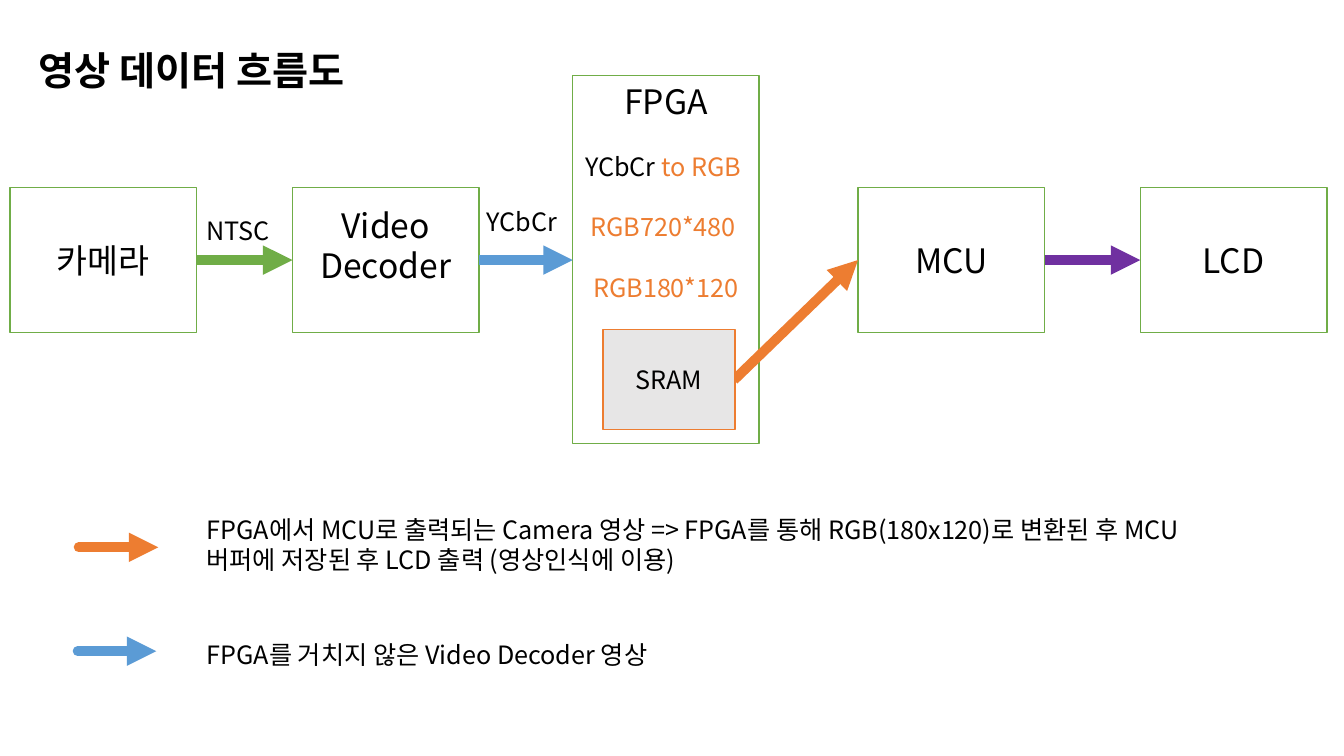
from lxml.etree import SubElement
from pptx import Presentation
from pptx.dml.color import RGBColor
from pptx.enum.shapes import MSO_CONNECTOR, MSO_SHAPE
from pptx.enum.text import MSO_ANCHOR as ANCHOR, PP_ALIGN as ALIGN
from pptx.oxml.ns import qn
from pptx.util import Inches, Pt

FONT = "Noto Sans CJK KR"
BLACK, WHITE, GRAY = "000000", "FFFFFF", "E7E6E6"
GREEN, BLUE, ORANGE, PURPLE = "70AD47", "5B9BD5", "ED7D31", "7030A0"

BOX_TOP, BOX_WIDTH, BOX_HEIGHT, FLOW_Y = 1.86, 1.85, 1.44, 2.58
STAGES = [("카메라", 0.1), ("Video Decoder", 2.9), ("MCU", 8.51), ("LCD", 11.31)]
FPGA_LEFT = 5.68
FPGA_STEPS = [
    [("YCbCr ", BLACK), ("to RGB ", ORANGE)],
    [("RGB720*480 ", ORANGE)],
    [("RGB180*120", ORANGE)],
]
# start x, start y, end x, end y, colour
FLOWS = [
    (1.95, FLOW_Y, 2.9, FLOW_Y, GREEN),
    (4.75, FLOW_Y, FPGA_LEFT, FLOW_Y, BLUE),
    (7.28, 3.77, 8.51, FLOW_Y, ORANGE),
    (10.36, FLOW_Y, 11.31, FLOW_Y, PURPLE),
]
LEGEND_ARROWS = [(0.78, 5.43, 1.57, 5.43, ORANGE), (0.77, 6.46, 1.55, 6.46, BLUE)]
# text, left, top, width, height, size, bold
LABELS = [
    ("영상 데이터 흐름도", 0.28, 0.41, 4.06, 0.57, 28, True),
    ("NTSC", 1.95, 2.09, 0.93, 0.4, 18, False),
    ("YCbCr", 4.73, 2, 0.93, 0.4, 18, False),
    ("FPGA에서 MCU로 출력되는 Camera 영상 => FPGA를 통해 RGB(180x120)로 변환된 후 "
     "MCU 버퍼에 저장된 후 LCD 출력 (영상인식에 이용) ", 1.95, 5.05, 10.11, 0.71, 18, False),
    ("FPGA를 거치지 않은 Video Decoder 영상", 1.95, 6.29, 9.75, 0.4, 18, False),
]


def color(hex_text):
    """Turn a hex string into a colour."""
    return RGBColor.from_string(hex_text)


def write(para, spans, size, bold=False, align=ALIGN.LEFT):
    """Fill a paragraph with (text, colour) spans in one font."""
    para.alignment = align
    para.font.name, para.font.size, para.font.bold = FONT, Pt(size), bold
    para.font.color.rgb = color(spans[0][1])
    defaults = para._p.pPr.find(qn("a:defRPr"))
    SubElement(defaults, qn("a:ea")).set("typeface", FONT)
    for text, hex_text in spans:
        span = para.add_run()
        span.text = text
        span.font.color.rgb = color(hex_text)


def add_box(text, left, top, width, height, size=24, fill=WHITE, line=GREEN,
            anchor=ANCHOR.MIDDLE):
    """Add an outlined rectangle with centred text and return its text frame."""
    box = page.shapes.add_shape(MSO_SHAPE.RECTANGLE, *map(Inches, (left, top, width, height)))
    box.shadow.inherit = False
    box.fill.solid()
    box.fill.fore_color.rgb = color(fill)
    box.line.color.rgb = color(line)
    box.line.width = Pt(1)
    frame = box.text_frame
    frame.word_wrap, frame.vertical_anchor = True, anchor
    write(frame.paragraphs[0], [(text, BLACK)], size, align=ALIGN.CENTER)
    return frame


def add_arrow(x1, y1, x2, y2, hex_text, cap="flat"):
    """Add a thick line with a triangular head at its end."""
    arrow = page.shapes.add_connector(MSO_CONNECTOR.STRAIGHT, *map(Inches, (x1, y1, x2, y2)))
    arrow.line.color.rgb = color(hex_text)
    arrow.line.width = Pt(7)
    outline = arrow.line._get_or_add_ln()
    outline.set("cap", cap)
    SubElement(outline, qn("a:tailEnd")).set("type", "triangle")
    SubElement(arrow._element.spPr, qn("a:effectLst"))


def add_label(text, left, top, width, height, size, bold):
    """Add a wrapping text box."""
    label = page.shapes.add_textbox(*map(Inches, (left, top, width, height)))
    label.text_frame.word_wrap = True
    write(label.text_frame.paragraphs[0], [(text, BLACK)], size, bold)


deck = Presentation()
deck.slide_width, deck.slide_height = Inches(13.33), Inches(7.5)
page = deck.slides.add_slide(deck.slide_layouts[6])

frames = {name: add_box(name, left, BOX_TOP, BOX_WIDTH, BOX_HEIGHT) for name, left in STAGES}
frames["Video Decoder"].margin_bottom = Inches(0.35)

fpga = add_box("FPGA", FPGA_LEFT, 0.75, BOX_WIDTH, 3.65, anchor=ANCHOR.TOP)
for step in FPGA_STEPS:
    para = fpga.add_paragraph()
    para.space_before = Pt(21.6)
    write(para, step, 18, align=ALIGN.CENTER)

for flow in FLOWS:
    add_arrow(*flow)
add_box("SRAM", 5.98, 3.27, 1.31, 0.99, 18, GRAY, ORANGE)
for arrow in LEGEND_ARROWS:
    add_arrow(*arrow, cap="rnd")
for label in LABELS:
    add_label(*label)

deck.save("out.pptx")
